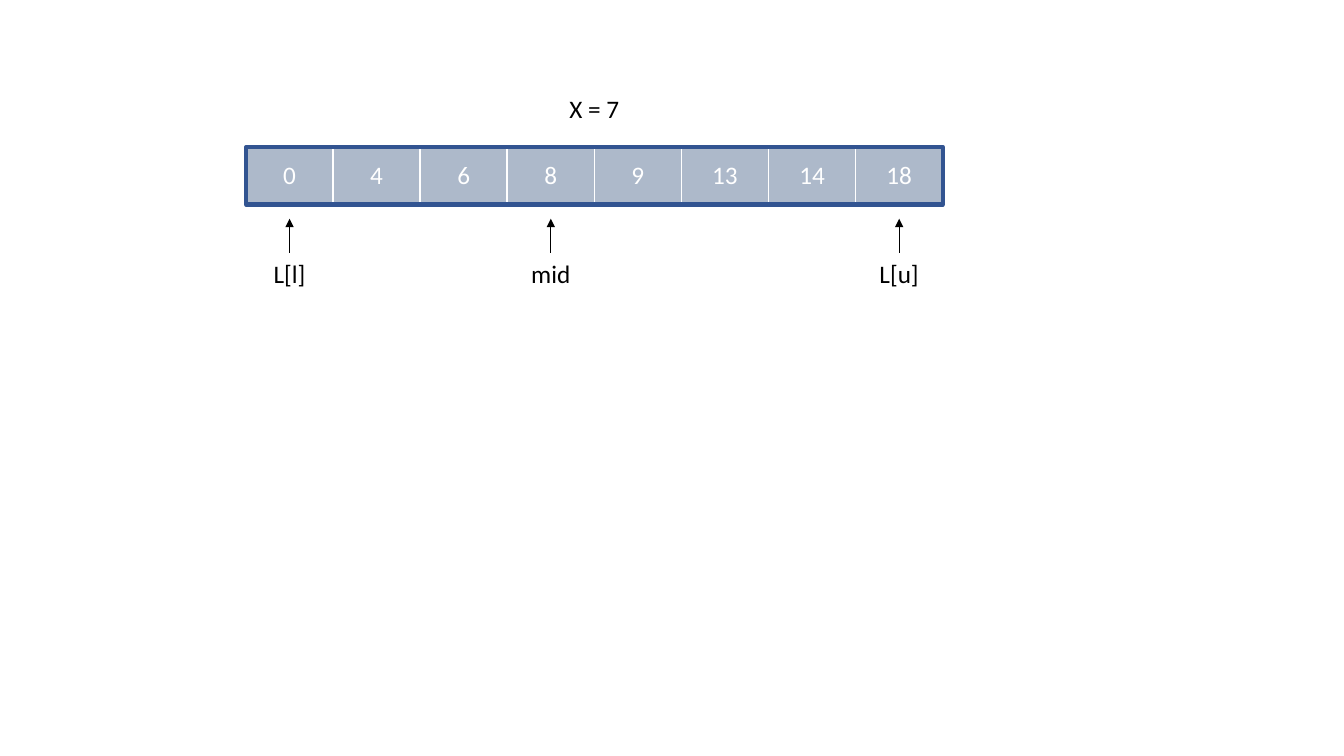
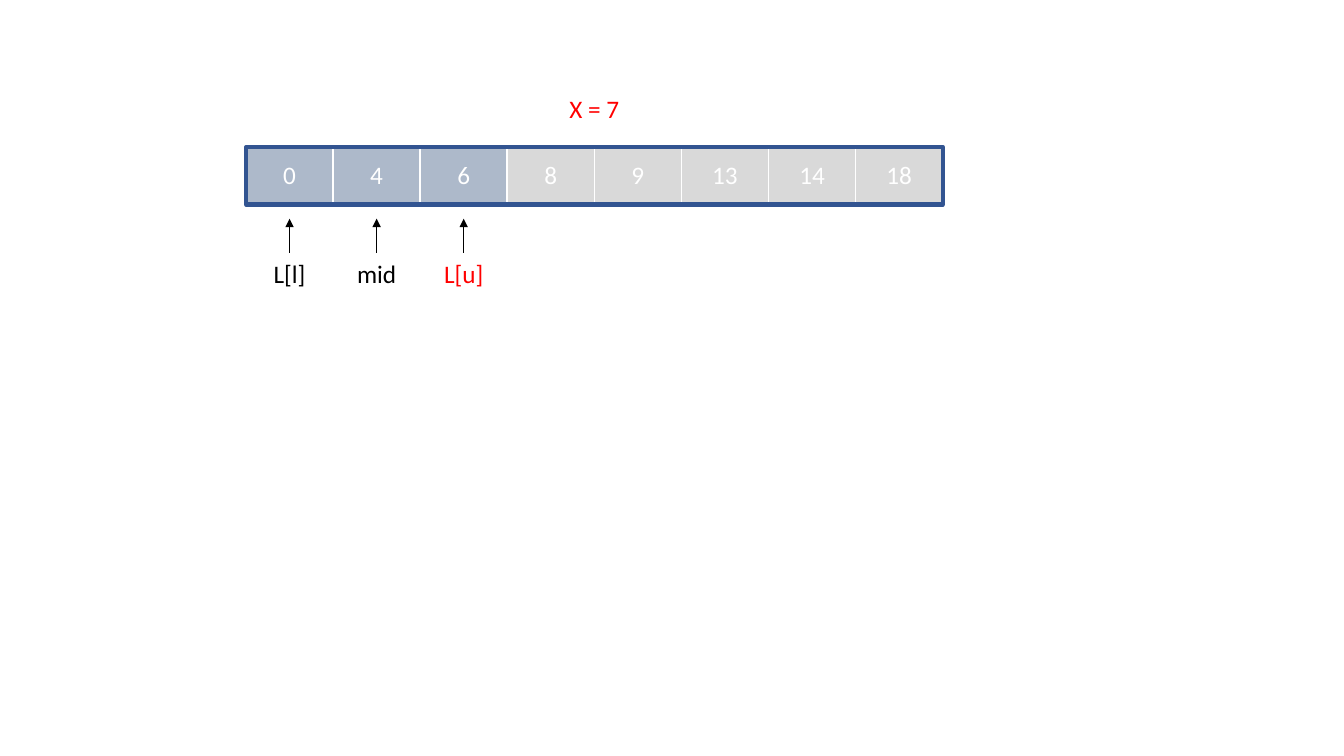
from pptx import Presentation
from pptx.dml.color import RGBColor
from pptx.enum.shapes import MSO_CONNECTOR, MSO_SHAPE
from pptx.enum.text import MSO_ANCHOR, MSO_AUTO_SIZE, PP_ALIGN
from pptx.oxml.ns import qn
from pptx.util import Inches, Pt
from lxml import etree

RECT = MSO_SHAPE.RECTANGLE
LINE = MSO_CONNECTOR.STRAIGHT
MIDDLE = MSO_ANCHOR.MIDDLE
CENTER = PP_ALIGN.CENTER
GROW = MSO_AUTO_SIZE.SHAPE_TO_FIT_TEXT

# Colours
WHITE, BLACK, RED = "FFFFFF", "000000", "FF0000"
LIVE, DEAD, EDGE = "ADB9CA", "D9D9D9", "325491"

# Array row
VALUES = [0, 4, 6, 8, 9, 13, 14, 18]
LEFT, TOP, WIDE, HIGH = 2.44, 1.45, 6.91, 0.57
CELL = WIDE / len(VALUES)
LABEL = 0.4

# Search steps: target colour, live cells, pointers as (label, cell, colour)
STEPS = [
    (BLACK, range(8), [("L[l]", 0, BLACK), ("L[u]", 7, BLACK), ("mid", 3, BLACK)]),
    (RED, range(3), [("L[l]", 0, BLACK), ("L[u]", 2, RED), ("mid", 1, BLACK)]),
]


def color(code):
    return RGBColor.from_string(code)


def write(frame, text, size=18, font="Calibri", ink=BLACK, align=CENTER):
    frame.word_wrap = True
    para = frame.paragraphs[0]
    para.alignment = align
    run = para.add_run()
    run.text = text
    run.font.size = Pt(size)
    run.font.name = font
    run.font.color.rgb = color(ink)


class Deck:
    def __init__(self):
        self.file = Presentation()
        self.file.slide_width = Inches(13.33)
        self.file.slide_height = Inches(7.5)
        self.slide = None

    def page(self):
        self.slide = self.file.slides.add_slide(self.file.slide_layouts[6])

    def box(self, left, top, wide, high, fill, line, weight):
        shape = self.slide.shapes.add_shape(
            RECT, Inches(left), Inches(top), Inches(wide), Inches(high))
        shape.shadow.inherit = False
        if fill:
            shape.fill.solid()
            shape.fill.fore_color.rgb = color(fill)
        else:
            shape.fill.background()
        shape.line.color.rgb = color(line)
        shape.line.width = Pt(weight)
        return shape

    def cell(self, index, value, fill):
        shape = self.box(LEFT + index * CELL, TOP, CELL, HIGH, fill, WHITE, 1)
        shape.text_frame.vertical_anchor = MIDDLE
        write(shape.text_frame, str(value), ink=WHITE)

    def label(self, home, left, top, text, ink):
        shape = home.add_textbox(
            Inches(left), Inches(top), Inches(CELL), Inches(LABEL))
        write(shape.text_frame, text, ink=ink)
        shape.text_frame.auto_size = GROW

    def arrow(self, home, x, start, end):
        link = home.add_connector(
            LINE, Inches(x), Inches(start), Inches(x), Inches(end))
        link.line.color.rgb = color(BLACK)
        link.line.width = Pt(0.5)
        etree.SubElement(link.line._get_or_add_ln(), qn("a:tailEnd"), type="triangle")
        etree.SubElement(link._element.spPr, qn("a:effectLst"))

    def pointer(self, text, index, ink):
        home = self.slide.shapes.add_group_shape().shapes
        left = LEFT + index * CELL
        self.arrow(home, left + CELL / 2, 2.51, 2.17)
        self.label(home, left, 2.51, text, ink)


def main():
    deck = Deck()
    for ink, live, marks in STEPS:
        deck.page()
        # Array and its frame
        for index, value in enumerate(VALUES):
            deck.cell(index, value, LIVE if index in live else DEAD)
        deck.box(LEFT, TOP + 0.01, WIDE, HIGH, None, EDGE, 3)
        # Target and pointers
        deck.label(deck.slide.shapes, LEFT + (WIDE - CELL) / 2, 0.88, "X = 7", ink)
        for mark in marks:
            deck.pointer(*mark)
    deck.file.save("out.pptx")


if __name__ == "__main__":
    main()
